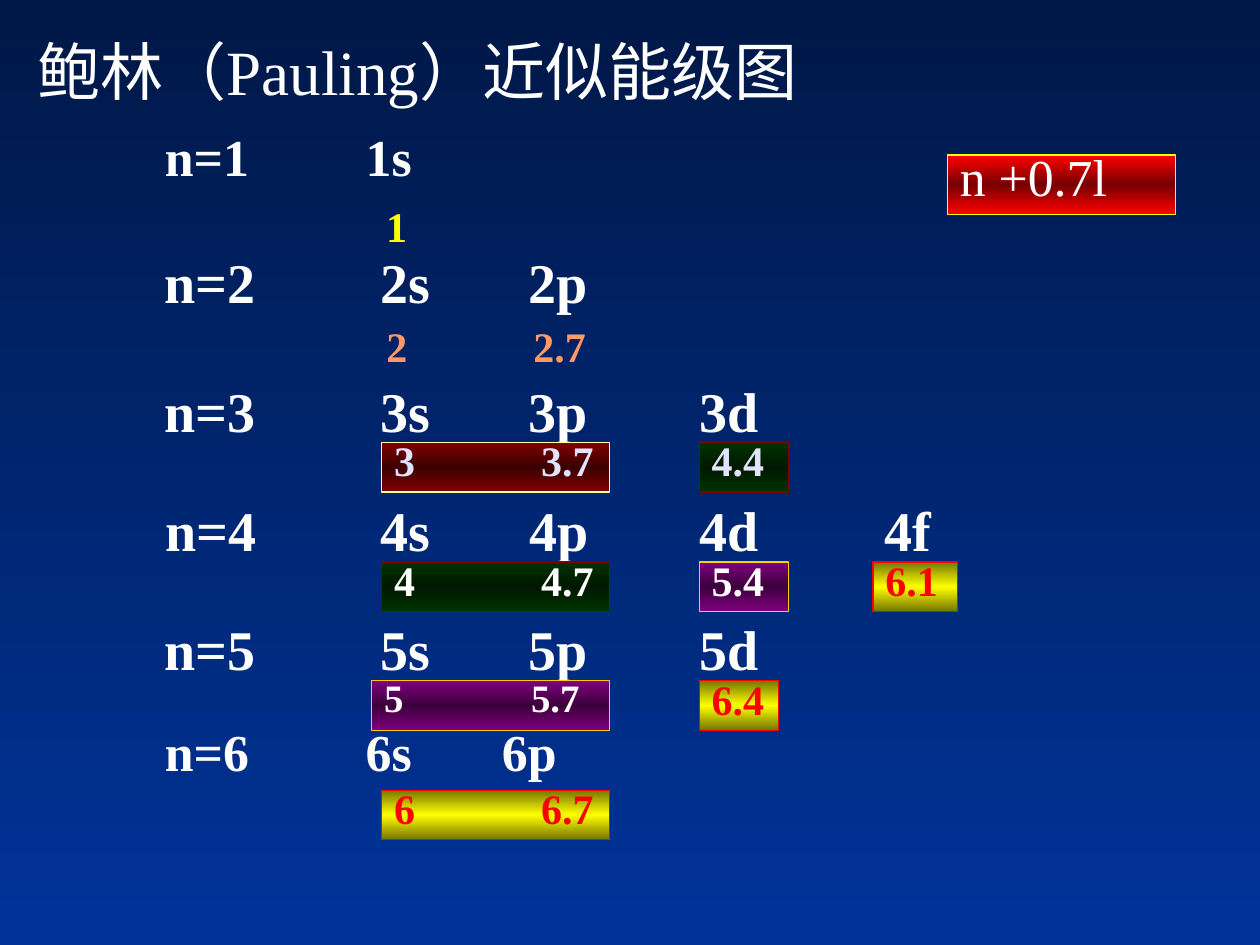
from copy import deepcopy
from dataclasses import dataclass

from lxml.etree import SubElement
from pptx import Presentation
from pptx.dml.color import RGBColor
from pptx.enum.shapes import MSO_SHAPE
from pptx.enum.text import MSO_ANCHOR, MSO_AUTO_SIZE, PP_ALIGN
from pptx.oxml.ns import qn
from pptx.util import Pt


@dataclass(frozen=True)
class Theme:
    font: str = "Times New Roman"
    white: str = "FFFFFF"
    pale: str = "E3E3FF"
    lemon: str = "FFFF00"
    peach: str = "FF9966"
    red: str = "FF0000"
    back: tuple = ("001847", "003399")
    head: float = 36
    big: float = 32
    mid: float = 29.6
    note: float = 24
    less: float = 22.2
    rule: float = 0.75


@dataclass(frozen=True)
class Skin:
    edge: str
    core: str
    line: str


THEME = Theme()
FIRE = Skin("FF0000", "760000", "FFFF00")
WINE = Skin("800000", "3B0000", "FFFF99")
MOSS = Skin("003300", "001800", "800000")
PLUM = Skin("800080", "3B003B", "FFCC00")
GOLD = Skin("767600", "FFFF00", "FF0000")

WIDE = (123.4, 208, 305.7, 411.4)
SLIM = (114.8, 192.6)
PAIR = (84,)


def clear_dent(deck):
    style = deck.slide_master.element.find(".//" + qn("p:bodyStyle"))
    level = style.find(qn("a:lvl1pPr"))
    level.set("marL", "0")
    level.attrib.pop("indent", None)


def paint(fill, root, hues):
    fill.gradient()
    fill.gradient_angle = 270
    stops = root.find(".//" + qn("a:gsLst"))
    while len(stops) < len(hues):
        stops.append(deepcopy(stops[0]))
    for i, stop in enumerate(fill.gradient_stops):
        stop.position = i / (len(hues) - 1)
        stop.color.rgb = RGBColor.from_string(hues[i])


def place(shape, box):
    shape.left, shape.top, shape.width, shape.height = map(Pt, box)


def write(shape, text, size, hue, bold=True, lead=1.0, tabs=(), pad=0):
    frame = shape.text_frame
    frame.text = text
    frame.word_wrap = True
    frame.auto_size = MSO_AUTO_SIZE.NONE
    frame.vertical_anchor = MSO_ANCHOR.TOP
    frame.margin_left = Pt(7.2 + pad)
    frame.margin_right = Pt(7.2)
    frame.margin_top = frame.margin_bottom = Pt(3.6)
    para = frame.paragraphs[0]
    props = para._p.get_or_add_pPr()
    SubElement(props, qn("a:buNone"))
    if tabs:
        stops = SubElement(props, qn("a:tabLst"))
        for tab in tabs:
            SubElement(stops, qn("a:tab"), pos=str(Pt(tab)), algn="l")
    para.alignment = PP_ALIGN.LEFT
    para.line_spacing = lead
    para.space_before = Pt(0)
    for run in para.runs:
        run.font.name = THEME.font
        run.font.size = Pt(size)
        run.font.bold = bold
        run.font.color.rgb = RGBColor.from_string(hue)


def draw_head(slide, box):
    place(slide.shapes.title, box)
    write(slide.shapes.title, "鲍林（Pauling）近似能级图", THEME.head, THEME.white, False)


def draw_tag(slide, box, skin, text, hue, size=THEME.note, bold=True):
    tag = slide.shapes.add_shape(MSO_SHAPE.RECTANGLE, *map(Pt, box))
    tag.shadow.inherit = False
    paint(tag.fill, tag.element, (skin.edge, skin.core, skin.edge))
    tag.line.color.rgb = RGBColor.from_string(skin.line)
    tag.line.width = Pt(THEME.rule)
    write(tag, text, size, hue, bold, 0.7, PAIR)


def draw_row(slide, box, text, tags=(), small=False, holder=None):
    label = holder or slide.shapes.add_textbox(0, 0, 0, 0)
    place(label, box)
    if small:
        write(label, text, THEME.mid, THEME.white, True, 0.7, SLIM)
    else:
        write(label, text, THEME.big, THEME.white, True, 0.8, WIDE)
    x, y = box[:2]
    for shift, width, *rest in tags:
        draw_tag(slide, (x + shift, y + 34, width, 28.3), *rest)


def draw_note(slide, box, text, hue, pad):
    note = slide.shapes.add_textbox(*map(Pt, box))
    write(note, text, THEME.note, hue, True, 0.8, PAIR, pad)


def draw_chart(slide, box, body):
    x, y, width = box

    draw_row(slide, (x, y, 244.8, 33.84), "n=1\t1s", small=True)
    draw_note(slide, (x + 108.7, y + 39.6, 73.4, 33.84), "1", THEME.lemon, 17.6)
    draw_row(slide, (x, y + 68.2, 341.3, 51.1), "n=2\t2s\t2p")
    draw_note(slide, (x + 114.5, y + 107.8, 187.2, 33.84), "2\t2.7", THEME.peach, 12)

    draw_row(slide, (x, y + 141.6, width, 45.4), "n=3\t3s\t3p\t3d", (
        (131, 130.3, WINE, "3\t3.7", THEME.pale),
        (312.5, 51.1, MOSS, "4.4", THEME.pale)))
    draw_row(slide, (x, y + 209.9, width, 45.4), "n=4\t4s\t4p\t4d\t4f", (
        (131, 130.3, MOSS, "4\t4.7", THEME.white),
        (312.5, 51.1, PLUM, "5.4", THEME.white),
        (411.8, 48.2, GOLD, "6.1", THEME.red)), holder=body)
    draw_row(slide, (x, y + 277.7, width, 39.6), "n=5\t5s\t5p\t5d", (
        (125.3, 136.1, PLUM, "5\t5.7", THEME.white, THEME.less),
        (312.5, 45.4, GOLD, "6.4", THEME.red)))
    draw_row(slide, (x, y + 340.3, width, 33.84), "n=6\t6s\t6p", (
        (131, 130.3, GOLD, "6\t6.7", THEME.red),), small=True)


def main():
    deck = Presentation()
    deck.slide_width, deck.slide_height = Pt(720), Pt(540)
    clear_dent(deck)
    slide = deck.slides.add_slide(deck.slide_layouts[1])
    paint(slide.background.fill, slide.element, THEME.back)
    draw_head(slide, (14.4, 15.1, 648, 67.7))
    draw_chart(slide, (87.1, 77.3, 528.5), slide.placeholders[1])
    draw_tag(slide, (541.4, 88.6, 130.3, 33.84), FIRE, "n +0.7l",
             THEME.white, THEME.mid, False)
    deck.save("out.pptx")


if __name__ == "__main__":
    main()
